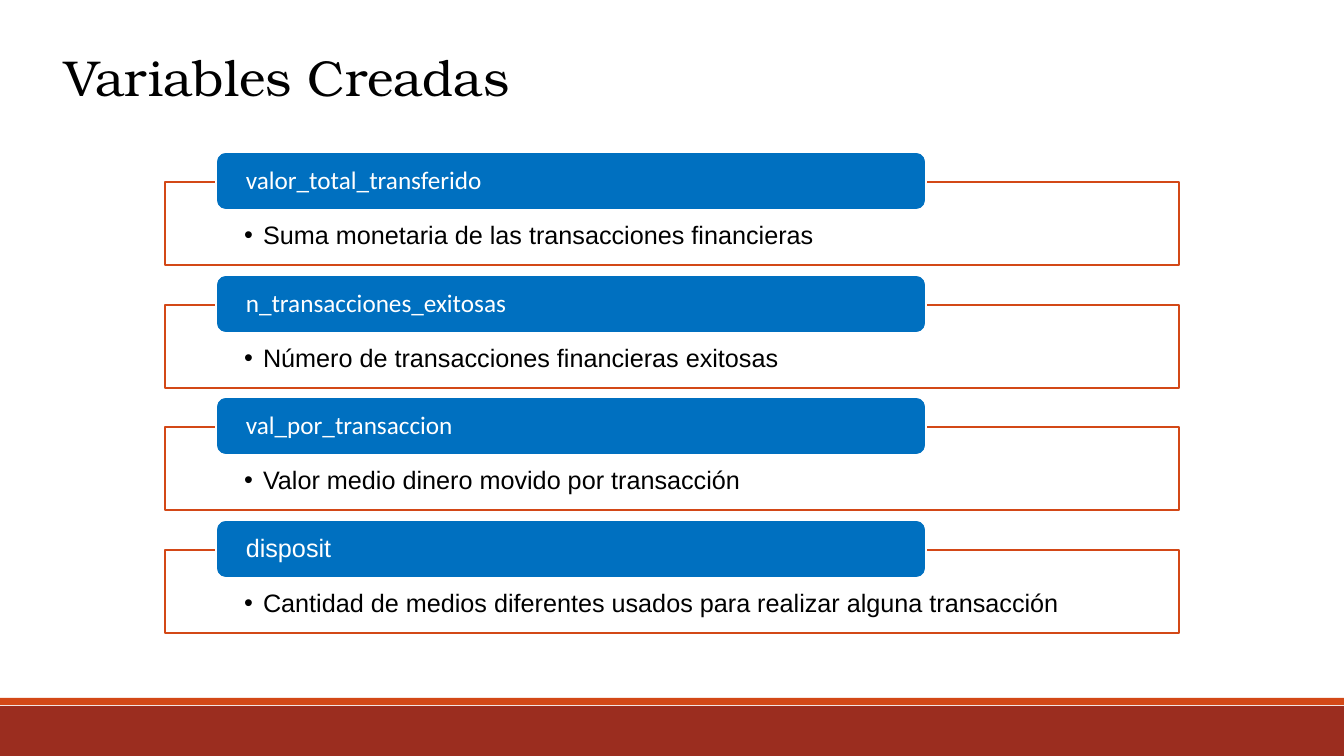
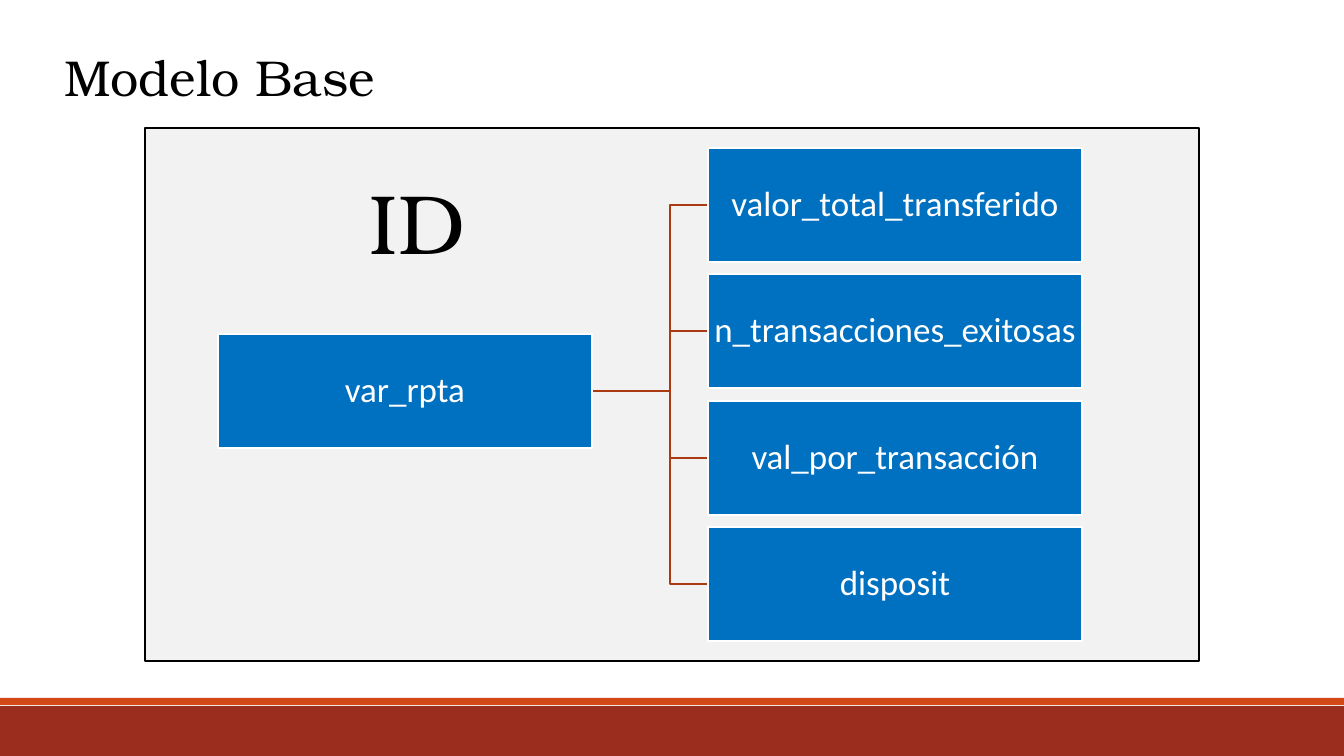
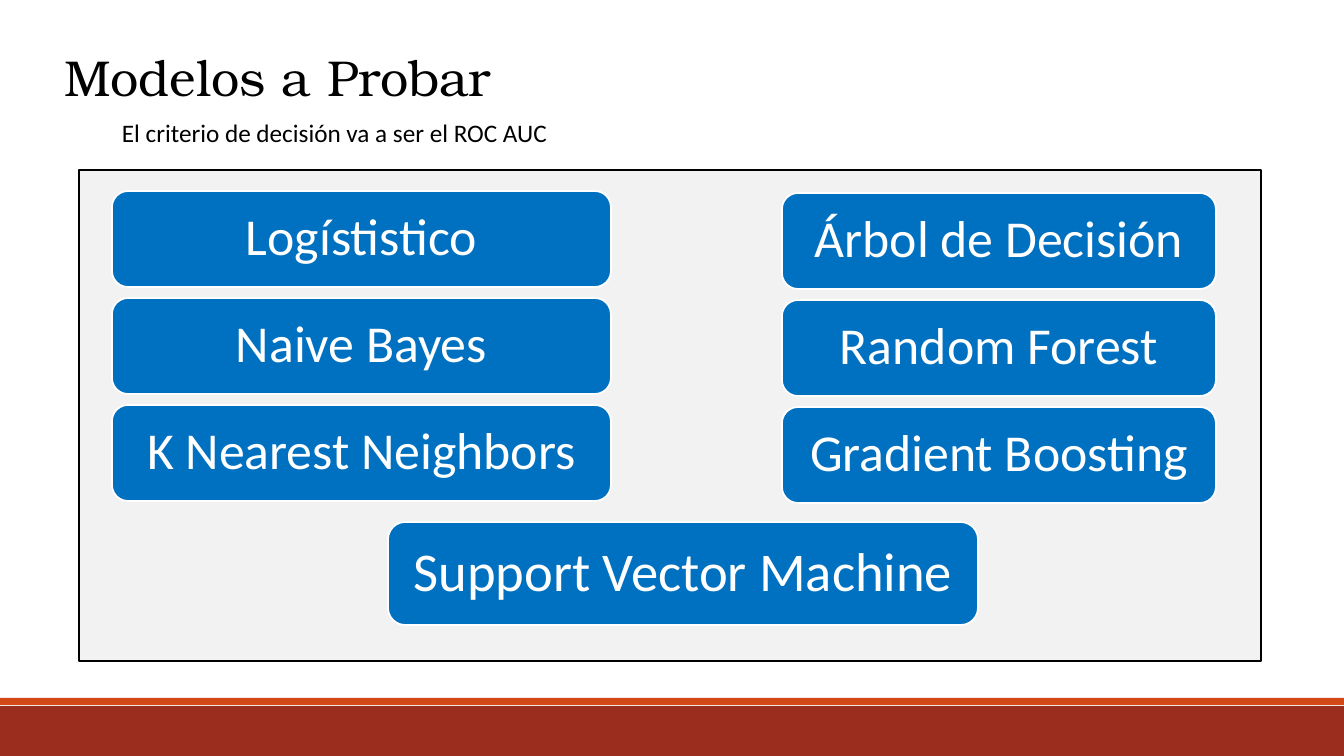
from lxml import etree
from pptx import Presentation
from pptx.dml.color import RGBColor
from pptx.enum import shapes, text
from pptx.oxml import ns
from pptx.util import Pt

SCALE = 9071.43
WIDTH, HEIGHT = 1344, 756
COLORS = {
    "band": "9B2D1F",
    "accent": "D34817",
    "branch": "A93A12",
    "blue": "0070C0",
    "panel": "F2F2F2",
    "white": "FFFFFF",
    "black": "000000",
}
SERIF, SANS, BODY = "TeX Gyre Bonum", "Calibri", "Arial"
RECT = shapes.MSO_SHAPE.RECTANGLE
ROUND = shapes.MSO_SHAPE.ROUNDED_RECTANGLE
LEFT, CENTER = text.PP_ALIGN.LEFT, text.PP_ALIGN.CENTER
TOP, MIDDLE = text.MSO_ANCHOR.TOP, text.MSO_ANCHOR.MIDDLE


def emu(*pixels):
    return [round(value * SCALE) for value in pixels]


def color(name):
    return RGBColor.from_string(COLORS[name])


def set_line(shape, name):
    if name:
        shape.line.color.rgb = color(name)
        shape.line.width = Pt(1.25)
    else:
        shape.line.fill.background()


def add_bullet(para, indent):
    props = para._p.get_or_add_pPr()
    props.set("marL", str(emu(indent)[0]))
    props.set("indent", str(emu(-indent)[0]))
    etree.SubElement(props, ns.qn("a:buFont")).set("typeface", "Arial")
    etree.SubElement(props, ns.qn("a:buChar")).set("char", "•")


def write(shape, words, size, font=SANS, ink="white", align=CENTER, anchor=MIDDLE,
          insets=(0, 0, 0, 0), spacing=0.9, bullet=0):
    frame = shape.text_frame
    frame.word_wrap = True
    frame.vertical_anchor = anchor
    (frame.margin_left, frame.margin_top,
     frame.margin_right, frame.margin_bottom) = emu(*insets)
    para = frame.paragraphs[0]
    para.alignment = align
    para.line_spacing = spacing
    if bullet:
        add_bullet(para, bullet)
    span = para.add_run()
    span.text = words
    span.font.name = font
    span.font.size = Pt(size)
    span.font.color.rgb = color(ink)


def add_box(page, box, fill, line=None, kind=RECT):
    shape = page.shapes.add_shape(kind, *emu(*box))
    shape.shadow.inherit = False
    shape.fill.solid()
    shape.fill.fore_color.rgb = color(fill)
    set_line(shape, line)
    return shape


def add_label(page, box, words, size, font=SANS, align=LEFT):
    label = page.shapes.add_textbox(*emu(*box))
    write(label, words, size, font, "black", align, TOP, (10, 5, 10, 5), 1.0)


def add_page(deck, title):
    page = deck.slides.add_slide(deck.slide_layouts[6])
    add_box(page, (0, 706, WIDTH, 50), "band")
    add_box(page, (0, 698, WIDTH, 7), "accent")
    add_label(page, (54, 41, 1236, 71), title, 36, SERIF)
    return page


def spread(start, end, count):
    return [round(start + i * (end - start) / (count - 1)) for i in range(count)]


def variable_list(page, box, items):
    left, top, width, height = box
    tab_height, frame_drop, frame_height = 58, 30, 83
    last = top + height - frame_drop - frame_height
    for y, (name, meaning, font) in zip(spread(top, last, len(items)), items):
        frame = add_box(page, (left, y + frame_drop, width, frame_height), "white", "accent")
        write(frame, meaning, 18, BODY, "black", LEFT, TOP, (79, 41, 79, 14), bullet=19)
        tab = add_box(page, (left + 51, y, 710, tab_height), "blue", "white", ROUND)
        write(tab, name, 18, font, align=LEFT, insets=(27, 0, 27, 0))


def variable_tree(page, box, root, children):
    left, top, width, height = box
    node_width, node_height, stem = 374, 114, 78
    root_right, child_left = left + node_width, left + width - node_width
    root_top = top + 186
    root_middle = root_top + node_height / 2
    tops = spread(top, top + height - node_height, len(children))
    for y in tops:
        branch = page.shapes.build_freeform(root_right, root_middle, SCALE)
        middle = y + node_height / 2
        branch.add_line_segments([
            (root_right + stem, root_middle),
            (root_right + stem, middle),
            (child_left, middle),
        ], close=False)
        elbow = branch.convert_to_shape()
        elbow.shadow.inherit = False
        elbow.fill.background()
        set_line(elbow, "branch")
    nodes = [(left, root_top, root)]
    nodes += [(child_left, y, name) for y, name in zip(tops, children)]
    for x, y, name in nodes:
        node = add_box(page, (x, y, node_width, node_height), "blue", "white")
        write(node, name, 25, insets=(2, 2, 2, 2))


def model_stack(page, box, names, size=37, gap=11):
    left, top, width, height = box
    card_height = (height - gap * (len(names) - 1)) / len(names)
    for i, name in enumerate(names):
        y = top + i * (card_height + gap)
        card = add_box(page, (left, y, width, card_height), "blue", "white", ROUND)
        write(card, name, size, insets=(15, 15, 15, 15))


def variables_page(deck):
    page = add_page(deck, "Variables Creadas")
    variable_list(page, (165, 152, 1014, 481), [
        ("valor_total_transferido", "Suma monetaria de las transacciones financieras", SANS),
        ("n_transacciones_exitosas", "Número de transacciones financieras exitosas", SANS),
        ("val_por_transaccion", "Valor medio dinero movido por transacción", SANS),
        ("disposit", "Cantidad de medios diferentes usados para realizar alguna transacción", BODY),
    ])


def base_model_page(deck):
    page = add_page(deck, "Modelo Base")
    add_box(page, (145, 128, 1054, 533), "panel", "black")
    variable_tree(page, (218, 148, 864, 493), "var_rpta", [
        "valor_total_transferido", "n_transacciones_exitosas",
        "val_por_transacción", "disposit",
    ])
    add_label(page, (334, 166, 167, 112), "ID", 60, SERIF, CENTER)


def candidates_page(deck):
    page = add_page(deck, "Modelos a Probar")
    add_box(page, (79, 170, 1182, 491), "panel", "black")
    model_stack(page, (112, 191, 499, 310),
                ["Logístistico", "Naive Bayes", "K Nearest Neighbors"])
    model_stack(page, (782, 193, 434, 310),
                ["Árbol de Decisión", "Random Forest", "Gradient Boosting"])
    model_stack(page, (388, 522, 590, 103), ["Support Vector Machine"], 39)
    add_label(page, (112, 112, 1053, 40), "El criterio de decisión va a ser el ROC AUC", 18)


deck = Presentation()
deck.slide_width, deck.slide_height = emu(WIDTH, HEIGHT)
variables_page(deck)
base_model_page(deck)
candidates_page(deck)
deck.save("out.pptx")
